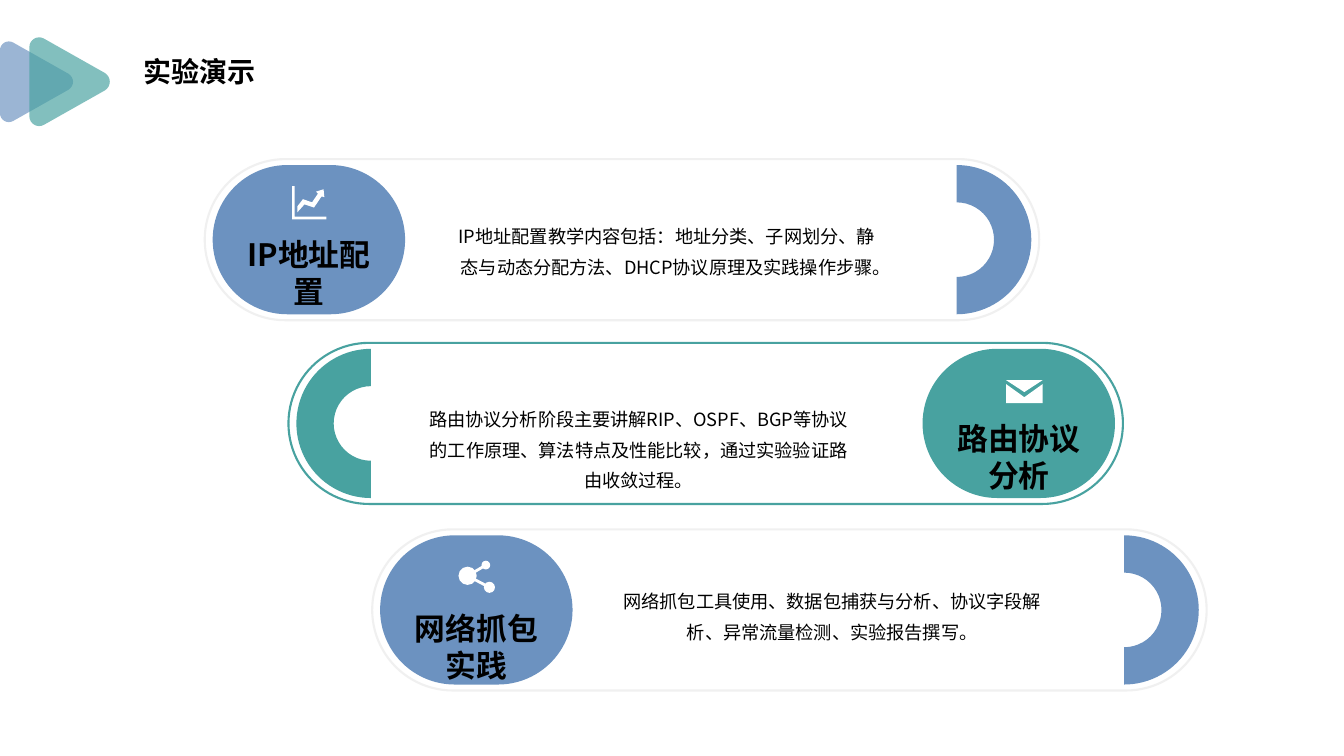
from dataclasses import dataclass
from lxml.etree import SubElement
from pptx import Presentation
from pptx.dml.color import RGBColor
from pptx.enum.shapes import MSO_CONNECTOR, MSO_SHAPE
from pptx.enum.text import MSO_ANCHOR, MSO_AUTO_SIZE, PP_ALIGN
from pptx.oxml.ns import qn
from pptx.util import Cm, Pt


@dataclass(frozen=True)
class Theme:
    font: str = "Noto Sans CJK SC"
    ink: RGBColor = RGBColor(0, 0, 0)
    white: RGBColor = RGBColor(255, 255, 255)
    blue: RGBColor = RGBColor(0x6C, 0x92, 0xC0)
    teal: RGBColor = RGBColor(0x48, 0xA2, 0xA0)
    pale: RGBColor = RGBColor(0xF0, 0xF0, 0xF0)
    title: Pt = Pt(20)
    label: Pt = Pt(22)
    body: Pt = Pt(13)


theme = Theme()


def write(frame, text, size, bold, align):
    frame.vertical_anchor = MSO_ANCHOR.TOP
    frame.auto_size = MSO_AUTO_SIZE.SHAPE_TO_FIT_TEXT
    para = frame.paragraphs[0]
    para.alignment = align
    run = para.add_run()
    run.text = text
    run.font.name = theme.font
    run.font.size = size
    run.font.bold = bold
    run.font.color.rgb = theme.ink
    SubElement(run.font._element, qn("a:ea"), typeface=theme.font)
    return para


def trace(points, color, left=0, top=0):
    spots = [(Cm(left + x), Cm(top + y)) for x, y in points]
    pen = slide.shapes.build_freeform(*spots[0])
    pen.add_line_segments(spots[1:], close=True)
    shape = pen.convert_to_shape()
    shape.shadow.inherit = False
    shape.fill.solid()
    shape.fill.fore_color.rgb = color
    shape.line.fill.background()
    return shape


deck = Presentation()
deck.slide_width, deck.slide_height = Cm(33.87), Cm(19.05)
slide = deck.slides.add_slide(deck.slide_layouts[5])
shapes = slide.shapes

# Title
title = shapes.title
title.left, title.top, title.width, title.height = Cm(3.35), Cm(1.24), Cm(4.32), Cm(1.12)
write(title.text_frame, "实验演示", theme.title, True, PP_ALIGN.LEFT)
title.text_frame.word_wrap = False

# Two rounded triangles, each corner a Bezier curve
corners = [
    [(1.73, 0.2), (1.88, 0.1), (1.88, -0.1), (1.73, -0.2)],
    [(0.33, -0.99), (0.18, -1.07), (0, -0.96), (0, -0.79)],
    [(0, 0.79), (0, 0.96), (0.18, 1.07), (0.33, 0.99)],
]
curve = []
for corner in corners:
    for step in range(9):
        t = step / 8
        parts = ((1 - t) ** 3, 3 * t * (1 - t) ** 2, 3 * t * t * (1 - t), t ** 3)
        curve.append([sum(w * p[i] for w, p in zip(parts, corner)) for i in (0, 1)])
for left, scale, color in [(0, 1, theme.blue), (0.74, 1.1, theme.teal)]:
    shape = trace([(x * scale, y * scale) for x, y in curve], color, left, 2.06)
    for tint in shape._element.spPr.iter(qn("a:srgbClr")):
        SubElement(tint, qn("a:alpha"), val="68000")

# Rows: pill top, text left, label drop, knob on right, fill, edge, label, text
rows = [
    (4.01, 11.4, 1.93, False, theme.blue, theme.pale, "IP地址配置",
     "IP地址配置教学内容包括：地址分类、子网划分、静态与动态分配方法、DHCP协议原理及实践操作步骤。"),
    (8.64, 10.69, 1.93, True, theme.teal, theme.teal, "路由协议分析",
     "路由协议分析阶段主要讲解RIP、OSPF、BGP等协议的工作原理、算法特点及性能比较，通过实验验证路由收敛过程。"),
    (13.34, 15.57, 2.03, False, theme.blue, theme.pale, "网络抓包实践",
     "网络抓包工具使用、数据包捕获与分析、协议字段解析、异常流量检测、实验报告撰写。"),
]
wide, high, gap, knob, ring = 21.03, 4.06, 0.2, 4.85, 3.76
hubs = []
for i, (top, side, drop, right, fill, edge, label, text) in enumerate(rows):
    left = 5.16 + 2.11 * i
    near, far = left + gap, left + wide - gap
    start = far - knob if right else near
    bend = near if right else far - ring
    inner = top + 0.15
    hubs.append((start + knob / 2, inner))

    # Pill, knob and half ring
    for kind, x, y, w, h in [
        (MSO_SHAPE.ROUNDED_RECTANGLE, left, top, wide, high),
        (MSO_SHAPE.ROUNDED_RECTANGLE, start, inner, knob, ring),
        (MSO_SHAPE.BLOCK_ARC, bend, inner, ring, ring),
    ]:
        shape = shapes.add_shape(kind, Cm(x), Cm(y), Cm(w), Cm(h))
        shape.shadow.inherit = False
        if kind == MSO_SHAPE.BLOCK_ARC:
            shape.rotation = 270 if right else 90
        else:
            shape.adjustments[0] = 0.5
        if w == wide:
            shape.fill.background()
            shape.line.color.rgb = edge
            shape.line.width = Pt(1.5)
        else:
            shape.fill.solid()
            shape.fill.fore_color.rgb = fill
            shape.line.fill.background()

    # Label and text
    for words, size, bold, x, y, w, h in [
        (label, theme.label, True, hubs[i][0] - 1.7, top + drop, 3.4, 1.88),
        (text, theme.body, False, side, 5.46 + 4.6 * i, 10.8, 0.79),
    ]:
        frame = shapes.add_textbox(Cm(x), Cm(y), Cm(w), Cm(h)).text_frame
        frame.margin_left = frame.margin_right = frame.margin_top = frame.margin_bottom = 0
        frame.word_wrap = True
        para = write(frame, words, size, bold, PP_ALIGN.CENTER)
        if not bold:
            para.line_spacing = Pt(22)

# Chart and mail icons
axis = [(-0.42, 0.53), (-0.36, 0.53), (-0.36, 1.3), (0.44, 1.3), (0.44, 1.37), (-0.42, 1.37)]
arrow = [(0.37, 0.61), (0.39, 0.81), (0.32, 0.79), (0.13, 1.07), (-0.11, 0.99), (-0.29, 1.19),
         (-0.29, 1.04), (-0.15, 0.86), (0.08, 0.94), (0.23, 0.72), (0.18, 0.67)]
mail = [(-0.32, 0.89), (0.14, 1.22), (0.6, 0.89), (0.6, 1.37), (-0.32, 1.37)]
flap = [(-0.32, 0.79), (0.6, 0.79), (0.14, 1.09)]
for points, hub in [(axis, hubs[0]), (arrow, hubs[0]), (mail, hubs[1]), (flap, hubs[1])]:
    trace(points, theme.white, *hub)

# Share icon: three dots joined by two lines
x, y = hubs[2]
dots = [(x - 0.22, y + 1.02, 0.23), (x + 0.24, y + 0.75, 0.11), (x + 0.33, y + 1.31, 0.14)]
for a, b, r in dots:
    dot = shapes.add_shape(MSO_SHAPE.OVAL, Cm(a - r), Cm(b - r), Cm(2 * r), Cm(2 * r))
    dot.shadow.inherit = False
    dot.fill.solid()
    dot.fill.fore_color.rgb = theme.white
    dot.line.fill.background()
for a, b, r in dots[1:]:
    link = shapes.add_connector(MSO_CONNECTOR.STRAIGHT, Cm(dots[0][0]), Cm(dots[0][1]), Cm(a), Cm(b))
    link.line.color.rgb = theme.white
    link.line.width = Pt(2)
    SubElement(link._element.spPr, qn("a:effectLst"))

deck.save("out.pptx")
